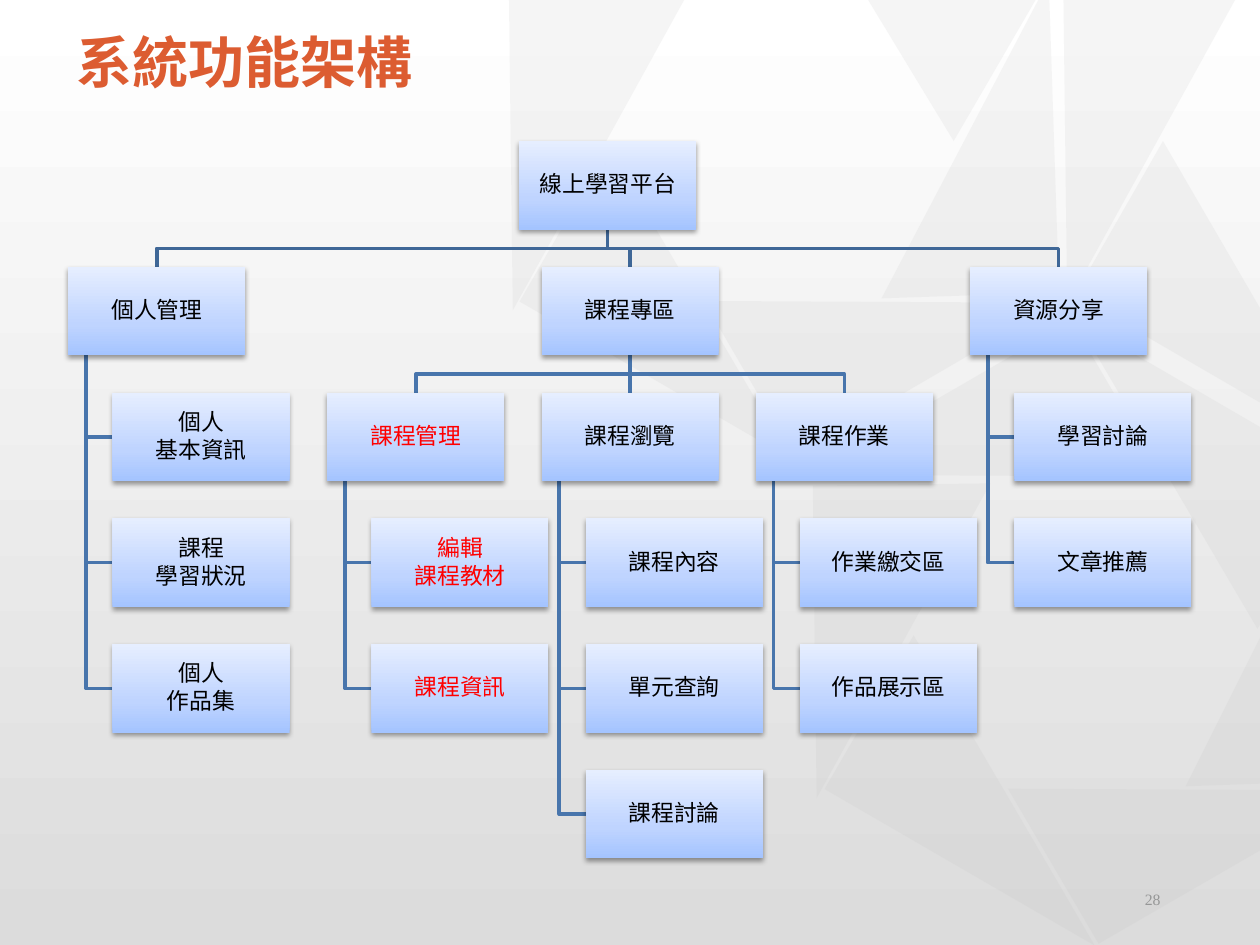
"""Builds the function chart slide of an online learning platform."""
from dataclasses import dataclass

from lxml.etree import SubElement as Sub
from pptx import Presentation
from pptx.dml.color import RGBColor as Rgb
from pptx.enum.shapes import MSO_CONNECTOR as Conn, MSO_SHAPE as Form
from pptx.enum.text import MSO_ANCHOR as Anchor, MSO_AUTO_SIZE as Auto, PP_ALIGN as Align
from pptx.oxml.ns import qn
from pptx.util import Pt

TITLE = "系統功能架構"
PAGE = "28"
ROOT = "線上學習平台"
STEMS = [
    (0, 1, "個人管理", ["個人\n基本資訊", "課程\n學習狀況", "個人\n作品集"]),
    (2, 1, "課程專區", []),
    (1, 2, "課程管理", ["編輯\n課程教材", "課程資訊"]),
    (2, 2, "課程瀏覽", ["課程內容", "單元查詢", "課程討論"]),
    (3, 2, "課程作業", ["作業繳交區", "作品展示區"]),
    (4, 1, "資源分享", ["學習討論", "文章推薦"]),
]
HOT = {"課程管理", "編輯\n課程教材", "課程資訊"}

LONG, WIDE = (178.6, 101.5), (175, 103)
SHARDS = [
    (475.2, 220.3, WIDE, 149.8), (427, 315.4, LONG, 89.3),
    (484.6, 401, LONG, 30.1), (570.2, 33.1, LONG, 89.3),
    (253.4, 36.7, LONG, 89.3), (310.3, 122.4, LONG, 30.1),
    (416.2, 121, WIDE, 329.8), (462.2, 28.8, LONG, 268.1),
]
PANES = [
    [(576, 450.7), (720, 451.4), (720, 486), (627.8, 539.3)],
    [(720, 364.3), (720, 447.8), (677.5, 449.3)],
    [(614.9, 182.9), (720, 244), (720, 357), (718.6, 359.3)],
    [(664.6, 80.6), (720, 176), (720, 230), (614.2, 168.5)],
    [(496.1, 0), (591.8, 0), (545, 80.6)],
]


@dataclass(frozen=True)
class Theme:
    """Holds the colours, fonts and type sizes."""
    sans: str = "Noto Sans CJK SC"
    serif: str = "Times New Roman"
    head: str = "DC5C31"
    text: str = "000000"
    hot: str = "FF0000"
    note: str = "969797"
    shard: str = "BFBFBF"
    top: str = "3F6797"
    low: str = "4875AC"
    back: tuple = ((0, "DCDCDC"), (100, "FFFFFF"))
    card: tuple = ((0, "A4C4FF"), (35, "BFD4FF"), (100, "E6EEFF"))
    big: int = 32
    mid: int = 13
    small: int = 9


LOOK = Theme()
WIDTH, HEIGHT = 720, 540
BOX_W, BOX_H, GAP = 101.2, 50.6, 21.25
TOP, STEP = 80.7, BOX_H + GAP
LANES = [39] + [187 + i * (BOX_W + GAP) for i in range(4)]
ROOT_X = (LANES[0] + LANES[-1]) / 2
FANS = [(ROOT_X, 0, (0, 2, 4), LOOK.top), (LANES[2], 1, (1, 2, 3), LOOK.low)]


def pts(*nums):
    """Turns numbers into point lengths."""
    return [Pt(n) for n in nums]


def level(row):
    """Gives the top of a row of boxes."""
    return TOP + row * STEP


def write(shape, text, size, tint, face, align, gap=0, bold=False):
    """Fills a shape with text in one style, set in the middle."""
    frame = shape.text_frame
    frame.text = text
    frame.word_wrap = True
    frame.auto_size = Auto.NONE
    frame.vertical_anchor = Anchor.MIDDLE
    for para in frame.paragraphs:
        para.alignment = align
        para.line_spacing = 0.9
        para.space_before, para.space_after = pts(0, gap)
        font = para.font
        font.size, font.bold, font.name = Pt(size), bold, face
        font.color.rgb = Rgb.from_string(tint)
    for prop in shape.element.iter(qn("a:defRPr")):
        Sub(prop, qn("a:ea"), typeface=face)


def fade(shape, stops):
    """Gives a shape an upward gradient and no line."""
    shape.shadow.inherit = False
    shape.line.fill.background()
    shape.fill.gradient()
    shape.fill.gradient_angle = 90
    ramp = next(shape.element.iter(qn("a:gsLst")))
    for old in list(ramp):
        ramp.remove(old)
    for place, tint in stops:
        stop = Sub(ramp, qn("a:gs"), pos=str(place * 1000))
        Sub(stop, qn("a:srgbClr"), val=tint)


def glaze(shape):
    """Gives a shape a faint grey fill."""
    shape.shadow.inherit = False
    shape.line.fill.background()
    shape.fill.solid()
    shape.fill.fore_color.rgb = Rgb.from_string(LOOK.shard)
    Sub(next(shape.element.iter(qn("a:srgbClr"))), qn("a:alpha"), val="14000")


def trace(shapes, spots, close):
    """Draws an outline through the given spots."""
    first, *rest = [pts(*spot) for spot in spots]
    pen = shapes.build_freeform(*first)
    pen.add_line_segments(rest, close=close)
    return pen.convert_to_shape()


def wire(shapes, spots, tint):
    """Draws a line through the given spots."""
    if len({x for x, _ in spots}) == 1:
        line = shapes.add_connector(Conn.STRAIGHT, *pts(*spots[0], *spots[-1]))
        Sub(line.element.spPr, qn("a:effectLst"))
    else:
        line = trace(shapes, spots, False)
        line.fill.background()
        line.shadow.inherit = False
    line.line.color.rgb = Rgb.from_string(tint)
    line.line.width = Pt(2)


def card(shapes, x, row, text):
    """Draws one box of the chart."""
    box = shapes.add_shape(Form.RECTANGLE, *pts(x, level(row), BOX_W, BOX_H))
    fade(box, LOOK.card)
    glow = Sub(next(box.element.iter(qn("a:effectLst"))), qn("a:outerShdw"),
               blurRad=str(Pt(3.1)), dist=str(Pt(1.6)), dir="5400000", rotWithShape="0")
    Sub(Sub(glow, qn("a:srgbClr"), val="000000"), qn("a:alpha"), val="38000")
    frame = box.text_frame
    frame.margin_left = frame.margin_right = Pt(0.7)
    frame.margin_top = frame.margin_bottom = Pt(0.7)
    tint = LOOK.hot if text in HOT else LOOK.text
    write(box, text, LOOK.mid, tint, LOOK.sans, Align.CENTER, 2)


def scene(shapes):
    """Draws the backdrop."""
    fade(shapes.add_shape(Form.RECTANGLE, *pts(0, 0, WIDTH, HEIGHT)), LOOK.back)
    for x, y, size, turn in SHARDS:
        shard = shapes.add_shape(Form.RIGHT_TRIANGLE, *pts(x, y, *size))
        shard.rotation = turn
        glaze(shard)
    for pane in PANES:
        glaze(trace(shapes, pane, True))


def chart(shapes):
    """Draws the lines and then the boxes."""
    half = BOX_W / 2
    for x, row, lanes, tint in FANS:
        base, fork, end = level(row) + BOX_H, level(row + 1) - GAP / 2, level(row + 1)
        for lane in lanes:
            a, b = x + half, LANES[lane] + half
            wire(shapes, [(a, base), (a, fork), (b, fork), (b, end)], tint)
    for lane, row, _, leaves in STEMS:
        x, base = LANES[lane] + BOX_W / 10, level(row) + BOX_H
        for i in range(len(leaves), 0, -1):
            y = level(row + i) + BOX_H / 2
            wire(shapes, [(x, base), (x, y), (LANES[lane] + BOX_W / 4, y)], LOOK.low)
    card(shapes, ROOT_X, 0, ROOT)
    for lane, row, head, leaves in STEMS:
        card(shapes, LANES[lane], row, head)
        for i, leaf in enumerate(leaves, 1):
            card(shapes, LANES[lane] + BOX_W / 4, row + i, leaf)


def main():
    """Builds and saves the slide."""
    deck = Presentation()
    deck.slide_width, deck.slide_height = pts(WIDTH, HEIGHT)
    shapes = deck.slides.add_slide(deck.slide_layouts[5]).shapes
    scene(shapes)
    title = shapes.title
    title.left, title.top, title.width, title.height = pts(36.7, 5.8, 646.6, 62.6)
    write(title, TITLE, LOOK.big, LOOK.head, LOOK.sans, Align.LEFT, bold=True)
    shapes.element.append(title.element)
    page = shapes.add_textbox(*pts(508.3, 500.4, 162, 28.8))
    write(page, PAGE, LOOK.small, LOOK.note, LOOK.serif, Align.RIGHT)
    chart(shapes)
    deck.save("out.pptx")


if __name__ == "__main__":
    main()
